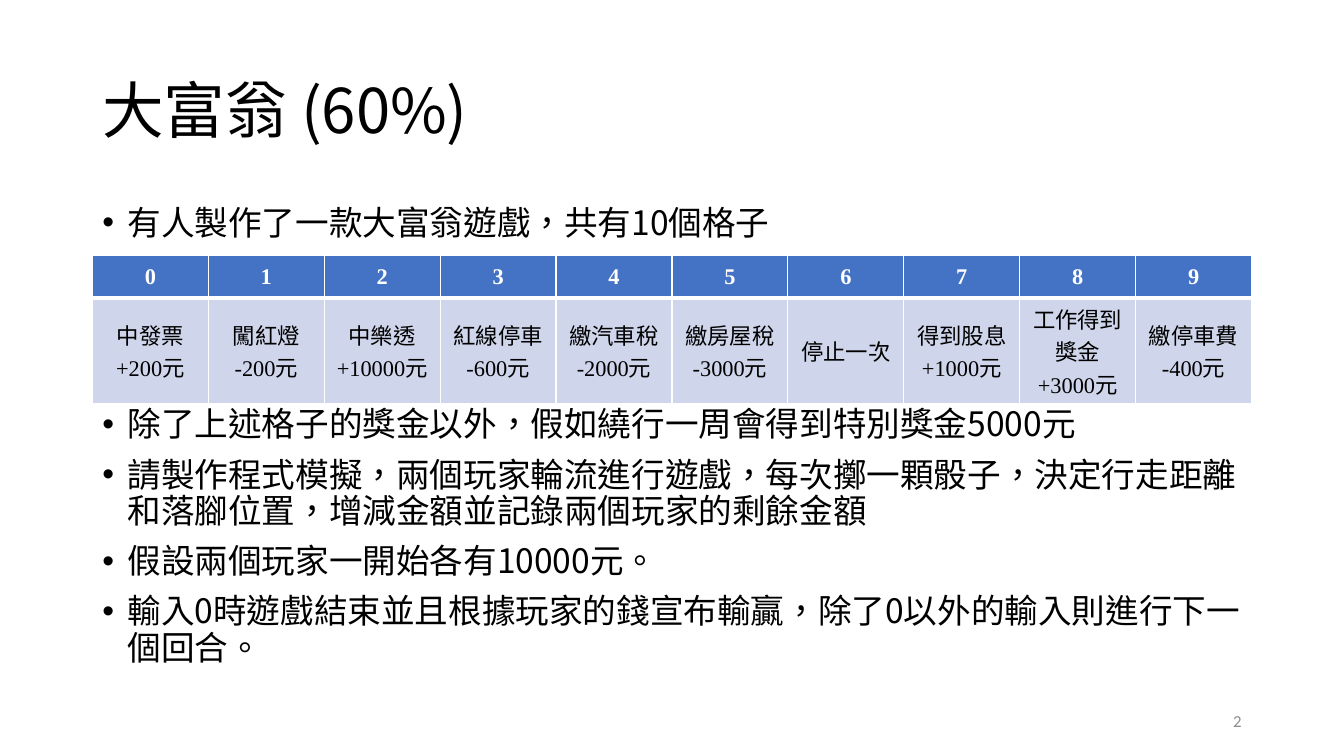
from lxml.etree import SubElement
from pptx import Presentation
from pptx.dml.color import RGBColor
from pptx.enum.text import MSO_ANCHOR as Anchor, PP_ALIGN as Align
from pptx.oxml.ns import qn
from pptx.util import Pt

TITLE = "大富翁 (60%)"
RULES = [
    "有人製作了一款大富翁遊戲，共有10個格子",
    "除了上述格子的獎金以外，假如繞行一周會得到特別獎金5000元",
    "請製作程式模擬，兩個玩家輪流進行遊戲，每次擲一顆骰子，決定行走距離和落腳位置，增減金額並記錄兩個玩家的剩餘金額",
    "假設兩個玩家一開始各有10000元。",
    "輸入0時遊戲結束並且根據玩家的錢宣布輸贏，除了0以外的輸入則進行下一個回合。",
]
SQUARES = [
    ("中發票", "+200元"), ("闖紅燈", "-200元"), ("中樂透", "+10000元"),
    ("紅線停車", "-600元"), ("繳汽車稅", "-2000元"), ("繳房屋稅", "-3000元"),
    ("停止一次",), ("得到股息", "+1000元"), ("工作得到獎金", "+3000元"),
    ("繳停車費", "-400元"),
]
PAGE = "2"

CJK, SERIF, SANS = "Noto Sans CJK SC", "Times New Roman", "Calibri"
BLACK, WHITE, GREY, BLUE, PALE = "000000", "FFFFFF", "8C8C8C", "4472C4", "CFD5EA"
LEFT, WIDTH = 66, 828
HEADER_H, SQUARE_H = 30.24, 75.5
RULE_GAP, TABLE_GAP = 10, 118


def color(hex_string):
    return RGBColor.from_string(hex_string)


def write(paragraph, words, size, face, ink, bold=False):
    run = paragraph.add_run()
    run.text = words
    run.font.size, run.font.name, run.font.bold = Pt(size), face, bold
    run.font.color.rgb = color(ink)
    props = run.font._element
    props.set("lang", "zh-TW")
    SubElement(props, qn("a:ea")).set("typeface", CJK)


def text_frame(left, top, width, height, anchor):
    frame = slide.shapes.add_textbox(Pt(left), Pt(top), Pt(width), Pt(height)).text_frame
    frame.word_wrap = True
    frame.vertical_anchor = anchor
    return frame


def add_bullet(paragraph):
    props = paragraph._p.get_or_add_pPr()
    props.set("marL", str(Pt(18)))
    props.set("indent", str(-Pt(18)))
    SubElement(props, qn("a:buFont")).set("typeface", "Arial")
    SubElement(props, qn("a:buChar")).set("char", "•")


def fill_cell(cell, lines, fill, ink, bold, bottom):
    props = cell._tc.get_or_add_tcPr()
    for side, weight in (("L", 1), ("R", 1), ("T", 1), ("B", bottom)):
        border = SubElement(props, qn("a:ln" + side), w=str(Pt(weight)))
        solid = SubElement(border, qn("a:solidFill"))
        SubElement(solid, qn("a:srgbClr"), val=WHITE)
    cell.fill.solid()
    cell.fill.fore_color.rgb = color(fill)
    cell.vertical_anchor = Anchor.MIDDLE
    for i, line in enumerate(lines):
        paragraph = cell.text_frame.add_paragraph() if i else cell.text_frame.paragraphs[0]
        paragraph.alignment = Align.CENTER
        write(paragraph, line, 16, SERIF, ink, bold)


deck = Presentation()
deck.slide_width, deck.slide_height = Pt(960), Pt(540)
slide = deck.slides.add_slide(deck.slide_layouts[6])

title = text_frame(LEFT, 28.75, WIDTH, 104.4, Anchor.MIDDLE).paragraphs[0]
title.line_spacing = 0.9
write(title, TITLE, 44, CJK, BLACK)

rules = text_frame(LEFT, 143.75, WIDTH, 367, Anchor.TOP)
for i, rule in enumerate(RULES):
    paragraph = rules.add_paragraph() if i else rules.paragraphs[0]
    paragraph.line_spacing = 0.9
    paragraph.space_before = Pt(TABLE_GAP if i == 1 else RULE_GAP)
    add_bullet(paragraph)
    write(paragraph, rule, 24, CJK, BLACK)

page = text_frame(678, 500.5, 216, 28.75, Anchor.MIDDLE).paragraphs[0]
page.alignment = Align.RIGHT
write(page, PAGE, 12, SANS, GREY)

board = slide.shapes.add_table(2, len(SQUARES), Pt(LEFT), Pt(182.5), Pt(WIDTH),
                               Pt(HEADER_H + SQUARE_H)).table
board.rows[0].height, board.rows[1].height = Pt(HEADER_H), Pt(SQUARE_H)
for i, square in enumerate(SQUARES):
    board.columns[i].width = Pt(WIDTH / len(SQUARES))
    fill_cell(board.cell(0, i), [str(i)], BLUE, WHITE, True, 3)
    fill_cell(board.cell(1, i), square, PALE, BLACK, False, 1)

deck.save("out.pptx")
